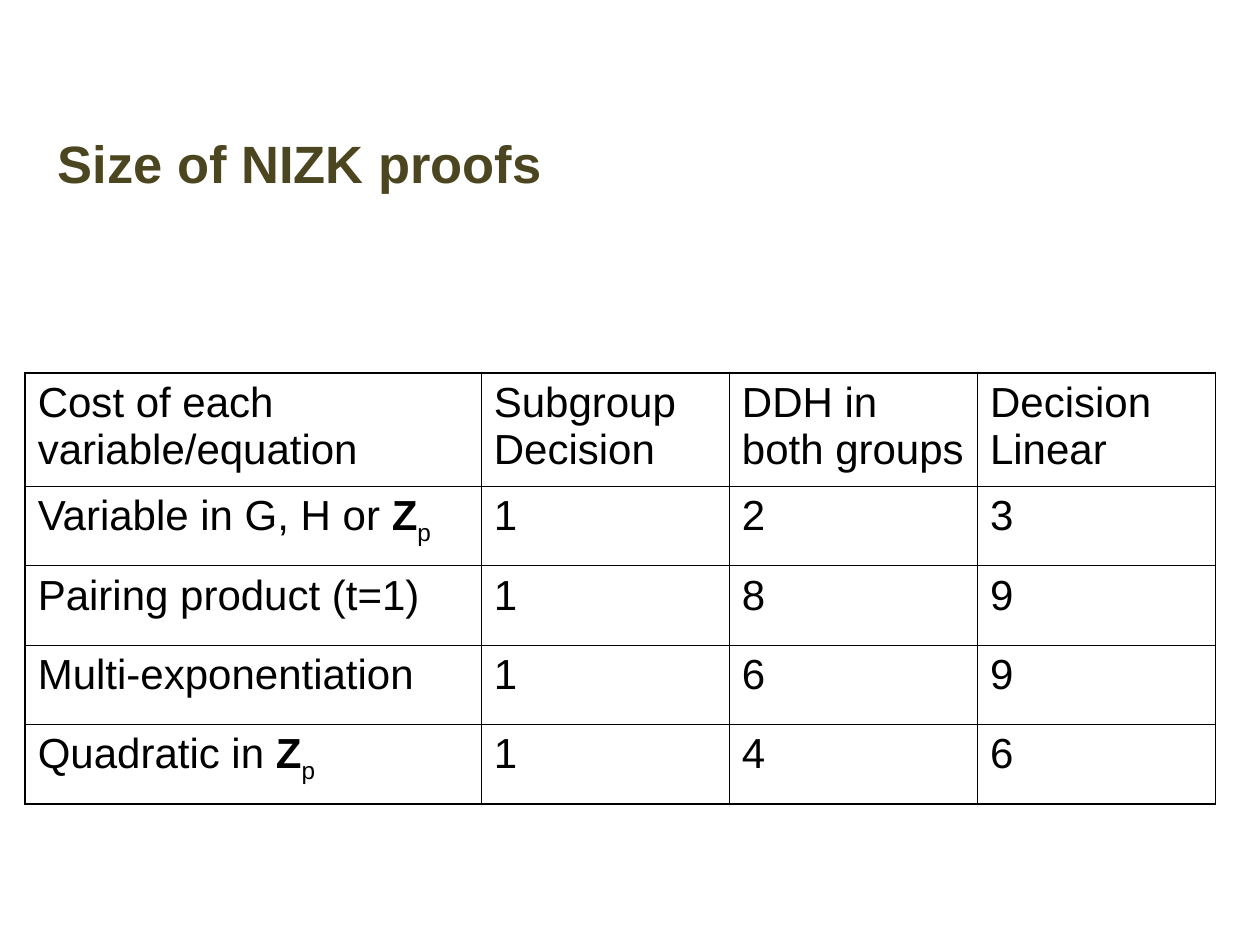
from dataclasses import dataclass

from lxml.etree import SubElement
from pptx import Presentation
from pptx.dml.color import RGBColor
from pptx.enum.text import MSO_ANCHOR
from pptx.oxml.ns import qn
from pptx.text.text import TextFrame
from pptx.util import Pt

FONT = "Arial"
OLIVE = RGBColor(0x4B, 0x46, 0x20)
BLACK = RGBColor(0, 0, 0)
THIN, THICK = 0.45, 1.08
COL_WIDTHS = (260.6, 141.8, 141.8, 136.1)
ROW_HEIGHTS = (64.8, 45.4, 45.4, 45.4, 45.4)


@dataclass(frozen=True)
class Span:
    text: str
    bold: bool = False
    baseline: int = 0


@dataclass(frozen=True)
class CostRow:
    label: tuple[Span, ...]
    values: tuple[str, str, str]


Z_P = (Span("Z", bold=True), Span("p", baseline=-25000))
ROWS = (
    CostRow((Span("Cost of each variable/equation"),),
            ("Subgroup Decision", "DDH in both groups", "Decision Linear")),
    CostRow((Span("Variable in G, H or "), *Z_P), ("1", "2", "3")),
    CostRow((Span("Pairing product (t=1)"),), ("1", "8", "9")),
    CostRow((Span("Multi-exponentiation"),), ("1", "6", "9")),
    CostRow((Span("Quadratic in "), *Z_P), ("1", "4", "6")),
)


def write(tf: TextFrame, spans: tuple[Span, ...], *, size: float,
          color: RGBColor, before: float = 0) -> None:
    tf.word_wrap = True
    p = tf.paragraphs[0]
    p.space_before = Pt(before)
    for span in spans:
        r = p.add_run()
        r.text = span.text
        r.font.name = FONT
        r.font.size = Pt(size)
        r.font.bold = span.bold
        r.font.color.rgb = color
        if span.baseline:
            r.font._element.set("baseline", str(span.baseline))


def add_border(cell, side: str, width: float) -> None:
    ln = SubElement(cell._tc.get_or_add_tcPr(), qn(f"a:ln{side}"), w=str(Pt(width)))
    fill = SubElement(ln, qn("a:solidFill"))
    SubElement(fill, qn("a:srgbClr"), val=str(BLACK))


def add_title(s, text: str) -> None:
    sp = s.shapes.add_textbox(Pt(25.9), Pt(71.3), Pt(668.2), Pt(102.2))
    sp.text_frame.vertical_anchor = MSO_ANCHOR.TOP
    write(sp.text_frame, (Span(text, bold=True),), size=30, color=OLIVE)


def add_cost_table(s, rows: tuple[CostRow, ...]) -> None:
    sp = s.shapes.add_table(len(rows), len(COL_WIDTHS), Pt(14.4), Pt(213.1),
                            Pt(sum(COL_WIDTHS)), Pt(sum(ROW_HEIGHTS)))
    table = sp.table
    table.first_row = table.horz_banding = False
    for column, width in zip(table.columns, COL_WIDTHS):
        column.width = Pt(width)
    last_row, last_col = len(rows) - 1, len(COL_WIDTHS) - 1
    for i, row in enumerate(rows):
        table.rows[i].height = Pt(ROW_HEIGHTS[i])
        contents = (row.label, *((Span(value),) for value in row.values))
        for j, spans in enumerate(contents):
            cell = table.cell(i, j)
            write(cell.text_frame, spans, size=24, color=BLACK, before=6)
            outer = {"L": j == 0, "R": j == last_col, "T": i == 0, "B": i == last_row}
            for side, is_outer in outer.items():
                add_border(cell, side, THICK if is_outer else THIN)
            cell.fill.background()


def main() -> None:
    prs = Presentation()
    prs.slide_width, prs.slide_height = Pt(720), Pt(540)
    s = prs.slides.add_slide(prs.slide_layouts[6])
    add_title(s, "Size of NIZK proofs")
    add_cost_table(s, ROWS)
    prs.save("out.pptx")


if __name__ == "__main__":
    main()
